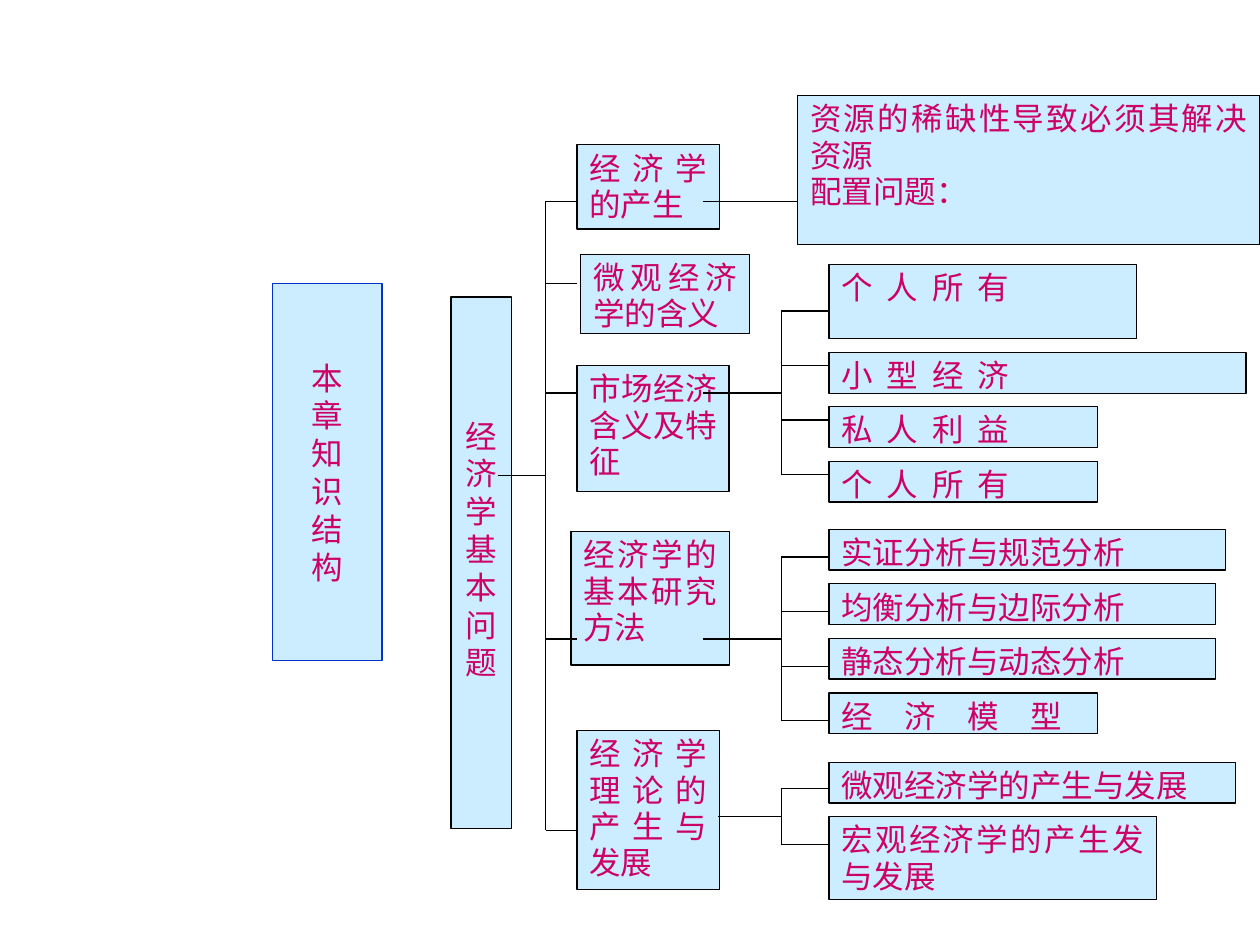
from lxml.etree import SubElement
from pptx import Presentation
from pptx.dml.color import RGBColor
from pptx.enum.shapes import MSO_CONNECTOR, MSO_SHAPE
from pptx.enum.text import MSO_ANCHOR, PP_ALIGN
from pptx.oxml.ns import qn
from pptx.util import Cm, Pt

FONT = "Noto Sans CJK SC"
PALE_BLUE = RGBColor(0xCC, 0xEC, 0xFF)
MAGENTA = RGBColor(0xCC, 0x00, 0x66)
BLUE = RGBColor(0x00, 0x33, 0xCC)
BLACK = RGBColor(0x00, 0x00, 0x00)

prs = Presentation()
prs.slide_width, prs.slide_height = Cm(25.4), Cm(19.05)
s = prs.slides.add_slide(prs.slide_layouts[6])


def add_box(x, y, w, h, text, align=PP_ALIGN.JUSTIFY, spacing=0.96, line=BLACK):
    sp = s.shapes.add_shape(MSO_SHAPE.RECTANGLE, Cm(x), Cm(y), Cm(w), Cm(h))
    sp.shadow.inherit = False
    sp.fill.solid()
    sp.fill.fore_color.rgb = PALE_BLUE
    sp.line.color.rgb = line
    sp.line.width = Pt(0.75)
    tf = sp.text_frame
    tf.word_wrap = True
    tf.vertical_anchor = MSO_ANCHOR.TOP
    tf.text = text
    for p in tf.paragraphs:
        p.alignment = align
        p.line_spacing = spacing
        p.font.size = Pt(18)
        p.font.color.rgb = MAGENTA
        p.font.name = FONT
        # East Asian text needs its own typeface entry
        SubElement(p.font._element, qn("a:ea")).set("typeface", FONT)
    return tf


def add_line(x1, y1, x2, y2):
    c = s.shapes.add_connector(MSO_CONNECTOR.STRAIGHT, Cm(x1), Cm(y1), Cm(x2), Cm(y2))
    c.line.color.rgb = BLACK
    c.line.width = Pt(0.75)
    SubElement(c._element.spPr, qn("a:effectLst"))


# Main topics
for x, y, w, h, text in [
    (11.63, 2.92, 2.87, 1.7, "经济学的产生"),
    (11.71, 5.13, 3.4, 1.6, "微观经济学的含义"),
    (11.63, 7.37, 3.07, 2.54, "市场经济含义及特征"),
    (11.51, 10.72, 3.2, 2.69, "经济学的基本研究方法"),
    (11.63, 14.73, 2.87, 3.2, "经济学理论的产生与发展"),
]:
    add_box(x, y, w, h, text)

# Details of the first topic
add_box(16.08, 1.93, 9.32, 3, "资源的稀缺性导致必须其解决资源\n配置问题：")

# Details of the other topics; the last value is letter spacing in 1/100 pt
LEAF_X, ROW = 16.71, 0.82
for y, w, h, text, tracking in [
    (5.33, 6.2, 1.5, "个人所有", 800),
    (7.11, 8.41, ROW, "小型经济", 800),
    (8.2, 5.41, ROW, "私人利益", 800),
    (9.3, 5.41, ROW, "个人所有", 800),
    (10.67, 8, ROW, "实证分析与规范分析", 0),
    (11.77, 7.8, ROW, "均衡分析与边际分析", 0),
    (12.87, 7.8, ROW, "静态分析与动态分析", 0),
    (13.97, 5.41, ROW, "经　济　模　型", 0),
    (15.37, 8.2, ROW, "微观经济学的产生与发展", 0),
    (16.46, 6.6, 1.68, "宏观经济学的产生发与发展", 0),
]:
    tf = add_box(LEAF_X, y, w, h, text)
    if tracking:
        r = tf.paragraphs[0].runs[0]
        r.font._element.set("spc", str(tracking))

# Root topic, one character per line
tf = add_box(9.09, 5.99, 1.22, 10.72, "经济学基本问题", PP_ALIGN.CENTER, 1.0)
tf.margin_top = Cm(2.41)

# Brackets: stem start, stem y, spine x, branch end, branch heights
for start, stem_y, spine, end, branches in [
    (10.03, 9.58, 11, 11.63, [4.06, 5.72, 7.92, 12.88, 16.74]),
    (14.17, 7.92, 15.75, LEAF_X, [6.27 + 1.1 * i for i in range(4)]),
    (14.17, 12.88, 15.75, LEAF_X, [11.23 + 1.1 * i for i in range(4)]),
    (14.48, 16.46, 15.75, LEAF_X, [15.9, 17.02]),
]:
    add_line(start, stem_y, spine, stem_y)
    add_line(spine, branches[0], spine, branches[-1])
    for y in branches:
        add_line(spine, y, end, y)
add_line(14.17, 4.06, 16.08, 4.06)

# Chapter title
tf = add_box(5.49, 5.72, 2.21, 7.59, "\n".join("本章知识结构"), PP_ALIGN.CENTER, 1.0, BLUE)
tf.word_wrap = False
tf.vertical_anchor = MSO_ANCHOR.MIDDLE

prs.save("out.pptx")
